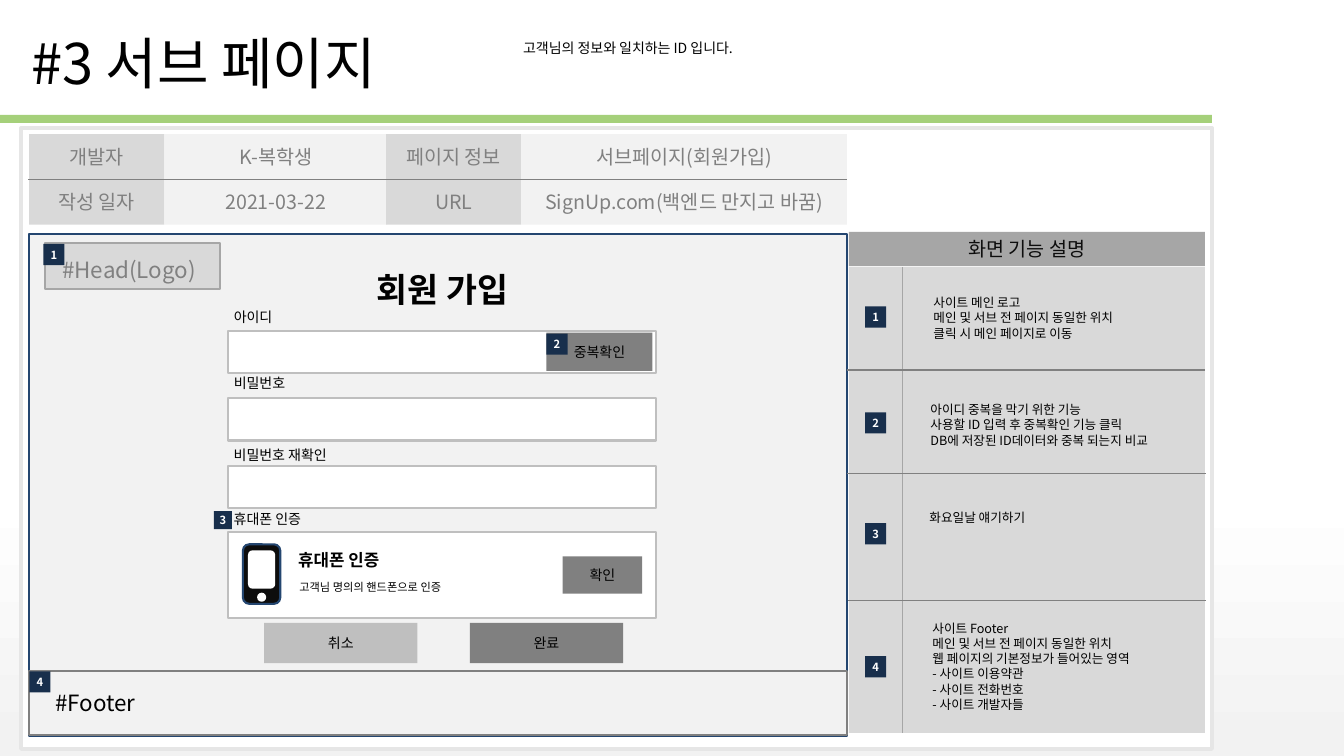
from pptx import Presentation, util as u
from pptx.dml.color import RGBColor
from pptx.enum import shapes, text
from pptx.oxml import parse_xml
from pptx.oxml.ns import nsdecls, qn

PX = 9144  # 100 px to the inch
THEME = dict(
    font="Noto Sans CJK KR", latin="Arial",
    white="FFFFFF", pale="F2F2F2", frame="E6E6E6", light="D9D9D9",
    soft="BFBFBF", mid="A6A6A6", gray="808080", ink="0D0D0D", black="000000",
    green="A5D07A", blue="244670", navy="182F4C",
    title=40, head=24, area=16, cell=14, strong=12, body=10, note=9, tiny=8,
)
RECT = shapes.MSO_SHAPE.RECTANGLE
ROUND = shapes.MSO_SHAPE.ROUNDED_RECTANGLE
OVAL = shapes.MSO_SHAPE.OVAL


def write(frame, words, size, tint="black", bold=False, align="LEFT", font="font"):
    frame.text = words
    for para in frame.paragraphs:
        para.alignment = getattr(text.PP_ALIGN, align)
        for run in para.runs:
            run.font.size = u.Pt(THEME[size])
            run.font.bold = bold
            run.font.name = THEME[font]
            run.font.color.rgb = RGBColor.from_string(THEME[tint])
            east = parse_xml(f'<a:ea {nsdecls("a")} typeface="{THEME["font"]}"/>')
            run.font._element.find(qn("a:latin")).addnext(east)


def box(at, fill, edge=None, width=1.5, kind=RECT):
    item = slide.shapes.add_shape(kind, *[n * PX for n in at])
    item.shadow.inherit = False
    item.fill.solid()
    item.fill.fore_color.rgb = RGBColor.from_string(THEME[fill])
    if edge:
        item.line.color.rgb = RGBColor.from_string(THEME[edge])
        item.line.width = u.Pt(width)
    else:
        item.line.fill.background()
    item.text_frame.vertical_anchor = text.MSO_ANCHOR.MIDDLE
    return item


deck = Presentation()
deck.slide_width, deck.slide_height = 1333 * PX, 750 * PX
slide = deck.slides.add_slide(deck.slide_layouts[5])

# Background
back = slide.background.fill
back.gradient()
back.gradient_angle = 270
for stop, tint, place in zip(back.gradient_stops, ("white", "pale"), (0.65, 0.99)):
    stop.color.rgb = RGBColor.from_string(THEME[tint])
    stop.position = place

# Title and page frame
box((0, 114, 1202, 8), "green")
title = slide.shapes.title
title.left, title.top, title.width, title.height = [n * PX for n in (21, 23, 1160, 77)]
write(title.text_frame, "#3 서브 페이지", "title")
title.text_frame.vertical_anchor = text.MSO_ANCHOR.TOP
title.text_frame.auto_size = text.MSO_AUTO_SIZE.SHAPE_TO_FIT_TEXT
box((21, 127, 1181, 616), "white", "frame", 3)

# Page facts
facts = [
    ("개발자", "K-복학생", "페이지 정보", "서브페이지(회원가입)"),
    ("작성 일자", "2021-03-22", "URL", "SignUp.com(백엔드 만지고 바꿈)"),
]
cols = [(29, 134, "light"), (163, 221, "pale"), (383, 134, "light"), (517, 323, "pale")]
for row, words in enumerate(facts):
    for (x, w, fill), word in zip(cols, words):
        cell = box((x, 133 + 45 * row, w, 45), fill)
        write(cell.text_frame, word, "cell", "gray", align="CENTER")

# Page areas
box((29, 232, 811, 498), "pale", "blue")
box((29, 666, 811, 63), "pale", "gray")
box((45, 241, 173, 46), "light", "mid")
panel = box((842, 230, 353, 34), "mid")
write(panel.text_frame, "화면 기능 설명", "cell", "ink", align="CENTER", font="latin")
box((842, 265, 353, 462), "light")

# Form fields
for y, h in [(328, 42), (395, 42), (462, 42), (528, 85)]:
    box((226, y, 425, h), "white", "soft")

# Phone
box((241, 540, 37, 59), "ink", "blue", kind=ROUND)
box((246, 546, 27, 38), "white", kind=ROUND)
box((255, 588, 9, 9), "white", kind=OVAL)

# Buttons
buttons = [
    ("중복확인", (542, 330, 105, 38), "gray"),
    ("확인", (558, 552, 79, 37), "gray"),
    ("취소", (262, 618, 152, 40), "soft"),
    ("완료", (466, 618, 152, 40), "gray"),
]
for word, at, fill in buttons:
    write(box(at, fill).text_frame, word, "body", align="CENTER")

# Rules
rules = [
    (28, 178, 840, 178, "gray"),
    (895, 265, 895, 727, "mid"),
    (840, 367, 1195, 367, "gray"),
    (840, 470, 1196, 470, "gray"),
    (841, 596, 1196, 596, "gray"),
]
for *ends, tint in rules:
    rule = slide.shapes.add_connector(shapes.MSO_CONNECTOR.STRAIGHT, *[n * PX for n in ends])
    rule.line.color.rgb = RGBColor.from_string(THEME[tint])
    rule.line.width = u.Pt(1)
    rule._element.spPr.append(parse_xml(f'<a:effectLst {nsdecls("a")}/>'))

# Labels and notes
labels = [
    ("고객님의 정보와 일치하는 ID 입니다.", (509, 34, 247, 27), "body", "black", False),
    ("#Head(Logo)", (52, 249, 155, 37), "area", "gray", False),
    ("#Footer", (45, 679, 106, 37), "area", "black", False),
    ("회원 가입", (364, 262, 161, 50), "head", "black", True),
    ("아이디", (222, 301, 61, 27), "body", "black", False),
    ("비밀번호", (222, 367, 75, 27), "body", "black", False),
    ("비밀번호 재확인", (222, 438, 120, 27), "body", "black", False),
    ("휴대폰 인증", (222, 502, 93, 27), "body", "black", False),
    ("휴대폰 인증", (286, 540, 107, 30), "strong", "black", True),
    ("고객님 명의의 핸드폰으로 인증", (287, 571, 171, 24), "tiny", "black", False),
    ("사이트 메인 로고\n메인 및 서브 전 페이지 동일한 위치\n클릭 시 메인 페이지로 이동",
     (916, 288, 215, 56), "note", "black", False),
    ("아이디 중복을 막기 위한 기능\n사용할 ID 입력 후 중복확인 기능 클릭\n"
     "DB에 저장된 ID데이터와 중복 되는지 비교",
     (913, 394, 254, 56), "note", "black", False),
    ("화요일날 얘기하기", (912, 501, 122, 25), "note", "black", False),
    ("사이트 Footer\n메인 및 서브 전 페이지 동일한 위치\n웹 페이지의 기본정보가 들어있는 영역\n"
     "- 사이트 이용약관\n- 사이트 전화번호\n- 사이트 개발자들",
     (915, 611, 232, 101), "note", "black", False),
]
for words, at, size, tint, bold in labels:
    frame = slide.shapes.add_textbox(*[n * PX for n in at]).text_frame
    frame.word_wrap = False
    frame.auto_size = text.MSO_AUTO_SIZE.SHAPE_TO_FIT_TEXT
    write(frame, words, size, tint, bold)

# Number badges
badges = [
    (1, 43, 242, 21), (2, 542, 331, 21), (3, 212, 507, 18), (4, 29, 666, 21),
    (1, 858, 304, 21), (2, 858, 409, 21), (3, 858, 519, 21), (4, 858, 651, 21),
]
for num, x, y, side in badges:
    frame = box((x, y, side, side), "navy").text_frame
    frame.margin_left = frame.margin_right = frame.margin_top = frame.margin_bottom = 0
    write(frame, str(num), "tiny", "white", True, "CENTER")

deck.save("out.pptx")
